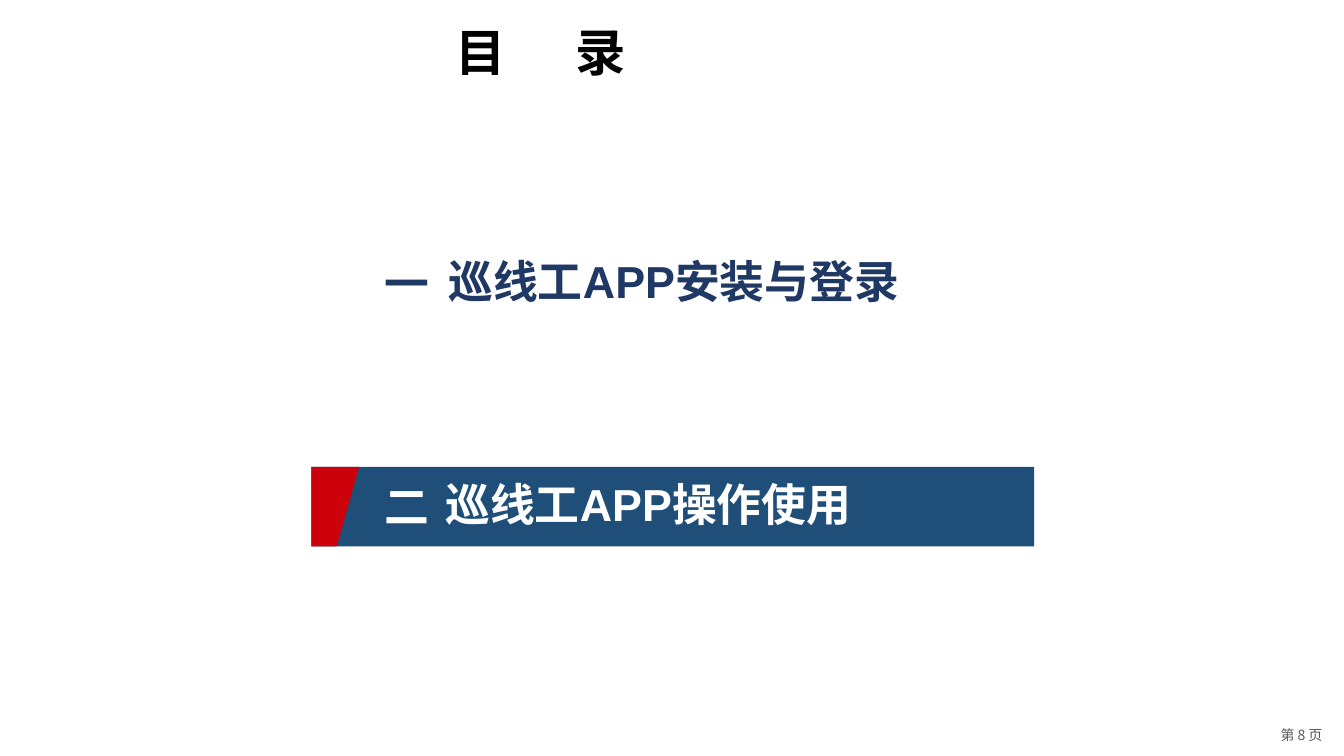
import pptx
import pptx.util
import pptx.dml.color
import pptx.enum.shapes
import pptx.enum.text
import pptx.oxml.ns
import lxml.etree

Pt = pptx.util.Pt
ALIGN = pptx.enum.text.PP_ALIGN
ANCHOR = pptx.enum.text.MSO_ANCHOR
HAN = "Noto Sans CJK SC"
NAVY = "203864"
WHITE = "FFFFFF"


def color(code):
    return pptx.dml.color.RGBColor.from_string(code)


def paint(shape, code):
    shape.shadow.inherit = False
    shape.fill.solid()
    shape.fill.fore_color.rgb = color(code)
    shape.line.fill.background()


def write(para, text, size=32, face="Arial", tint="000000", bold=True, gap=0):
    run = para.add_run()
    run.text = text
    font = run.font
    font.size = Pt(size)
    font.name = face
    font.bold = bold
    font.color.rgb = color(tint)
    props = font._element
    props.set("lang", "zh-CN")
    if gap:
        props.set("spc", str(int(gap * 100)))
    east = lxml.etree.SubElement(props, pptx.oxml.ns.qn("a:ea"))
    east.set("typeface", HAN)


def box(slide, place, align=ALIGN.LEFT, anchor=ANCHOR.MIDDLE):
    frame = slide.shapes.add_textbox(*map(Pt, place)).text_frame
    frame.word_wrap = True
    frame.vertical_anchor = anchor
    para = frame.paragraphs[0]
    para.alignment = align
    return para


def banner(slide, left, top, width, height):
    kind = pptx.enum.shapes.MSO_SHAPE.RECTANGLE
    bar = slide.shapes.add_shape(kind, Pt(left), Pt(top), Pt(width), Pt(height))
    paint(bar, "1F4E79")
    points = [(34, 0), (18, height), (0, height)]
    path = slide.shapes.build_freeform(Pt(left), Pt(top))
    path.add_line_segments([(Pt(left + x), Pt(top + y)) for x, y in points])
    paint(path.convert_to_shape(), "CD010C")


def entry(slide, mark, text, left, top, tint):
    write(box(slide, (267.8, top + 2, 50, 46), anchor=ANCHOR.TOP), mark, tint=tint)
    write(box(slide, (left, top, 427, 46)), text, tint=tint)


def main():
    deck = pptx.Presentation()
    deck.slide_width, deck.slide_height = Pt(960), Pt(540)
    slide = deck.slides.add_slide(deck.slide_layouts[6])

    number = box(slide, (898.6, 515.5, 62, 19.5), ALIGN.CENTER, ANCHOR.TOP)
    write(number, "第 8 页", size=10, face=HAN, tint="595959", bold=False)

    title = box(slide, (16.6, 7.9, 739.4, 62.6), ALIGN.CENTER)
    title.line_spacing = 0.9
    write(title, "目", size=36, face=HAN, gap=50)
    write(title, "录", size=36, face=HAN)

    banner(slide, 222.5, 333.4, 516.2, 56.9)
    entry(slide, "一", "巡线工APP安装与登录", 313.2, 177.1, NAVY)
    entry(slide, "二", "巡线工APP操作使用", 311, 336.6, WHITE)
    deck.save("out.pptx")


if __name__ == "__main__":
    main()
